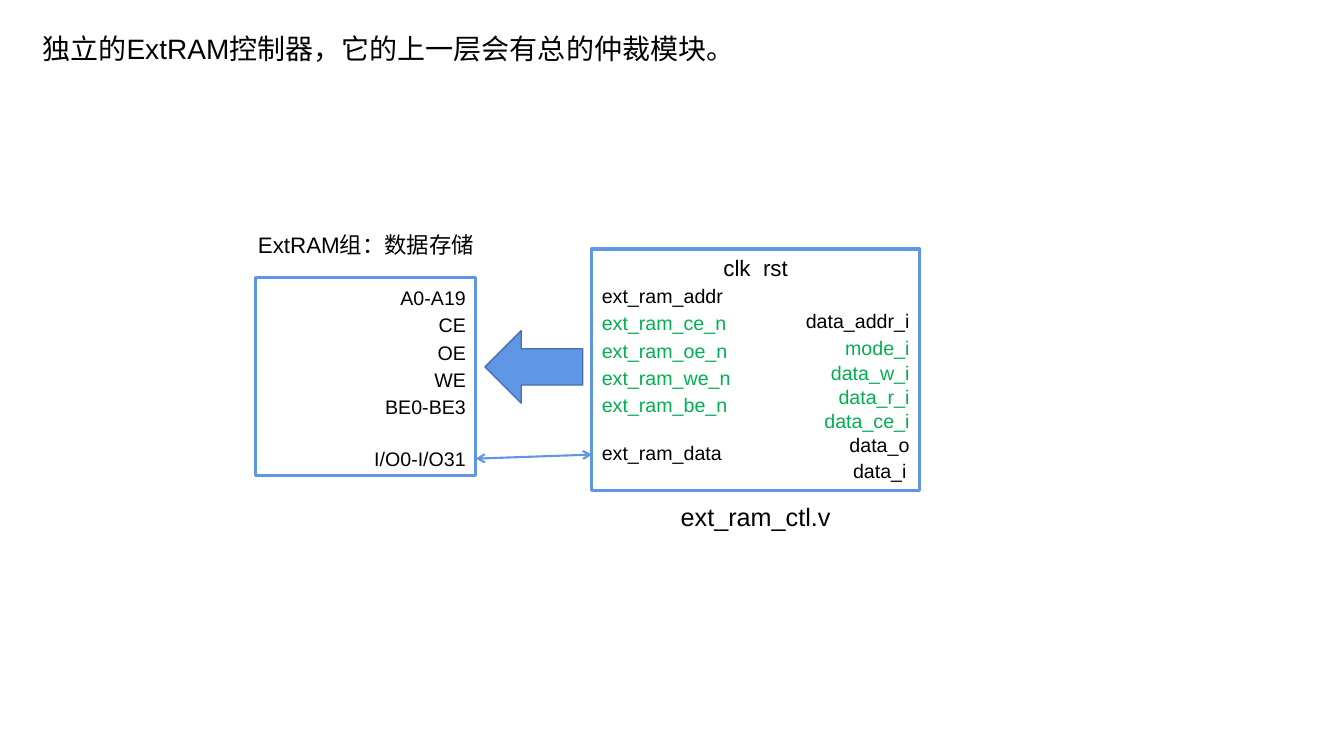
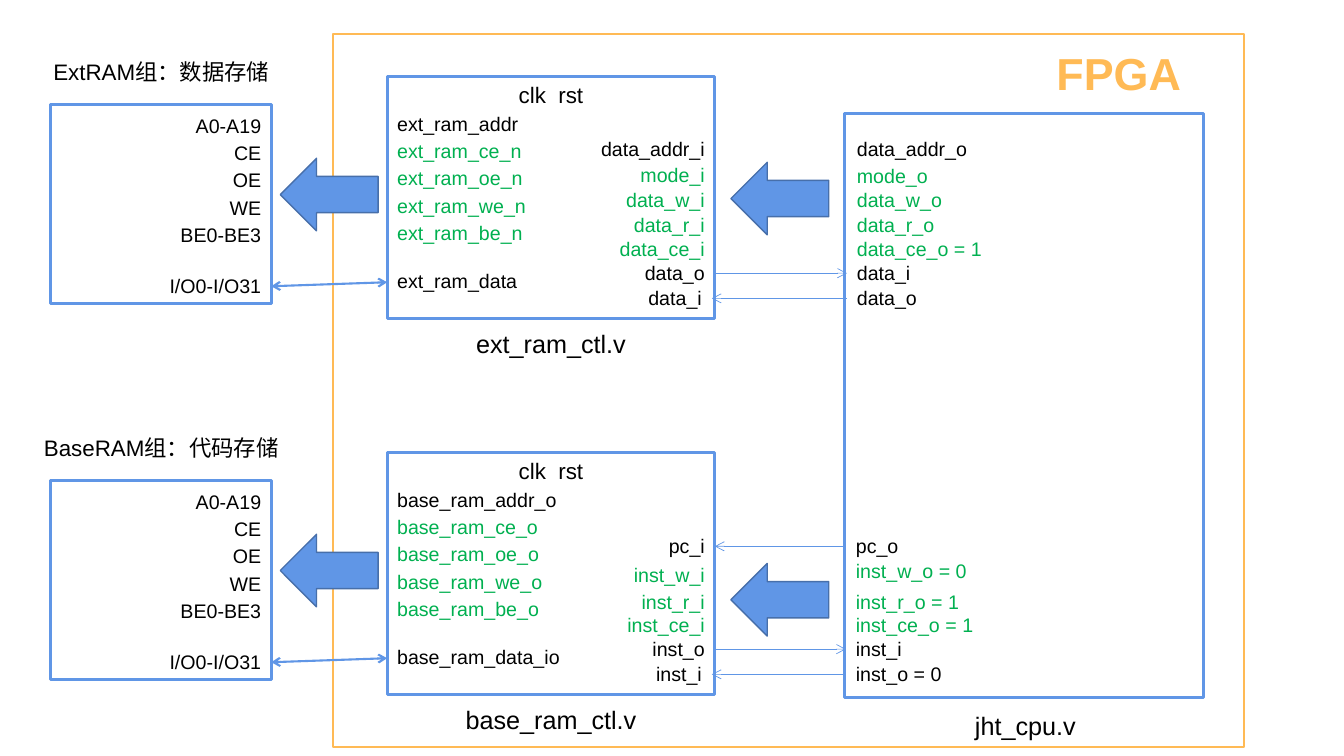
from pptx import Presentation
from pptx.dml.color import RGBColor
from pptx.enum.shapes import MSO_CONNECTOR, MSO_SHAPE
from pptx.enum.text import MSO_ANCHOR, MSO_AUTO_SIZE, PP_ALIGN
from pptx.oxml.ns import qn
from pptx.util import Inches, Pt
from lxml.etree import SubElement


def color(code):
    return RGBColor.from_string(code)


class Deck:
    font = "Arial"
    black = "000000"
    white = "FFFFFF"
    green = "00B050"
    blue = "6096E6"
    navy = "476FAA"
    gold = "FFBA55"

    def __init__(self):
        self.file = Presentation()
        self.file.slide_width = Inches(13.33)
        self.file.slide_height = Inches(7.5)
        self.slide = None

    def page(self, layout):
        self.slide = self.file.slides.add_slide(self.file.slide_layouts[layout])

    def style(self, shape, text, size, ink, align, bold=False):
        frame = shape.text_frame
        frame.word_wrap = True
        frame.auto_size = MSO_AUTO_SIZE.SHAPE_TO_FIT_TEXT
        frame.vertical_anchor = MSO_ANCHOR.TOP
        frame.text = text
        line = frame.paragraphs[0]
        line.alignment = align
        font = line.runs[0].font
        font.name = self.font
        font.size = Pt(size)
        font.bold = bold
        font.color.rgb = color(ink)

    def title(self, text, left, top, wide, high):
        shape = self.slide.shapes.title
        shape.left, shape.top = Inches(left), Inches(top)
        shape.width, shape.height = Inches(wide), Inches(high)
        self.style(shape, text, 20, self.black, PP_ALIGN.LEFT)

    def label(self, text, left, top, wide, high=0.34, size=14, ink=black,
              align=PP_ALIGN.CENTER, bold=False):
        shape = self.slide.shapes.add_textbox(
            Inches(left), Inches(top), Inches(wide), Inches(high))
        self.style(shape, text, size, ink, align, bold)

    def shape(self, kind, left, top, wide, high, fill, edge, weight):
        shape = self.slide.shapes.add_shape(
            kind, Inches(left), Inches(top), Inches(wide), Inches(high))
        shape.shadow.inherit = False
        shape.fill.solid()
        shape.fill.fore_color.rgb = color(fill)
        shape.line.color.rgb = color(edge)
        shape.line.width = Pt(weight)

    def box(self, left, top, wide, high, edge=blue, weight=2.25):
        self.shape(MSO_SHAPE.RECTANGLE, left, top, wide, high,
                   self.white, edge, weight)

    def arrow(self, left, top):
        self.shape(MSO_SHAPE.LEFT_ARROW, left, top, 0.97, 0.72,
                   self.blue, self.navy, 1)

    def wire(self, x1, y1, x2, y2, weight=0.5, ends=("tailEnd",)):
        wire = self.slide.shapes.add_connector(
            MSO_CONNECTOR.STRAIGHT,
            Inches(x1), Inches(y1), Inches(x2), Inches(y2))
        wire.line.color.rgb = color(self.blue)
        wire.line.width = Pt(weight)
        props = wire.element.spPr
        edge = props.find(qn("a:ln"))
        for end in ends:
            SubElement(edge, qn("a:" + end), type="arrow")
        SubElement(props, qn("a:effectLst"))

    def pins(self, names, drops, left, top, wide, greens, align):
        for spot, (name, drop) in enumerate(zip(names, drops)):
            ink = self.green if 1 <= spot <= greens else self.black
            self.label(name, left, top + drop, wide, ink=ink, align=align)

    def bank(self, left, top, bank):
        chip = left - 3.34
        self.label(bank["label"], chip - 0.23, top - 0.23, 2.66, 0.37, 16)
        self.box(left, top, 3.25, 2.4)
        self.box(chip, top + 0.28, 2.19, 1.97)
        self.pins(CHIP, [0.32 + 0.27 * n for n in range(5)] + [1.91],
                  chip + 0.85, top, 1.34, 0, PP_ALIGN.RIGHT)
        self.pins(bank["ram"], [0.3 + 0.27 * n for n in range(5)] + [1.86],
                  left, top, 2.12, 4, PP_ALIGN.LEFT)
        self.arrow(chip + 2.28, top + 0.81)
        self.wire(chip + 2.19, top + 2.08, left, top + 2.04, 1.5,
                  ("headEnd", "tailEnd"))
        *names, last = bank["bus"]
        self.pins(names, bank["drops"], left + 1.82, top, 1.43,
                  bank["greens"], PP_ALIGN.RIGHT)
        self.label(last, left + 1.79, top + 2.03, 1.43, align=PP_ALIGN.RIGHT)
        self.label("clk  rst", left + 0.99, top, 1.27, 0.37, 16)
        self.label(bank["file"], left + 0.64, top + 2.45, 1.97, 0.4, 18)

    def link(self, left, top, bank):
        self.pins(bank["cpu"], bank["ports"], left, top, 1.61,
                  bank["greens"], PP_ALIGN.LEFT)
        self.wire(7.09, top + 1.95, left, top + 1.95)
        self.wire(left, top + 2.2, 7.06, top + 2.2)
        self.arrow(7.25, top + bank["push"])


CHIP = ["A0-A19", "CE", "OE", "WE", "BE0-BE3", "I/O0-I/O31"]

EXT = {
    "label": "ExtRAM组：数据存储",
    "file": "ext_ram_ctl.v",
    "ram": ["ext_ram_addr", "ext_ram_ce_n", "ext_ram_oe_n",
            "ext_ram_we_n", "ext_ram_be_n", "ext_ram_data"],
    "bus": ["data_addr_i", "mode_i", "data_w_i", "data_r_i",
            "data_ce_i", "data_o", "data_i"],
    "drops": [0.55, 0.81, 1.06, 1.3, 1.54, 1.78],
    "cpu": ["data_addr_o", "mode_o", "data_w_o", "data_r_o",
            "data_ce_o = 1", "data_i", "data_o"],
    "ports": [0.55, 0.82, 1.06, 1.3, 1.54, 1.78, 2.03],
    "greens": 4,
    "push": 0.85,
}

BASE = {
    "label": "BaseRAM组：代码存储",
    "file": "base_ram_ctl.v",
    "ram": ["base_ram_addr_o", "base_ram_ce_o", "base_ram_oe_o",
            "base_ram_we_o", "base_ram_be_o", "base_ram_data_io"],
    "bus": ["pc_i", "inst_w_i", "inst_r_i", "inst_ce_i", "inst_o", "inst_i"],
    "drops": [0.76, 1.05, 1.31, 1.54, 1.78],
    "cpu": ["pc_o", "inst_w_o = 0", "inst_r_o = 1", "inst_ce_o = 1",
            "inst_i", "inst_o = 0"],
    "ports": [0.76, 1.01, 1.31, 1.54, 1.78, 2.03],
    "greens": 3,
    "push": 1.1,
}

deck = Deck()

deck.page(5)
deck.title("独立的ExtRAM控制器，它的上一层会有总的仲裁模块。",
           0.32, 0.26, 7.55, 0.44)
deck.bank(5.87, 2.47, EXT)

deck.page(6)
deck.box(3.3, 0.34, 9.04, 7.07, deck.gold, 1.5)
deck.bank(3.84, 0.76, EXT)
deck.bank(3.84, 4.49, BASE)
deck.box(8.38, 1.13, 3.56, 5.79)
deck.label("jht_cpu.v", 9.34, 7, 1.66, 0.4, 18)
deck.link(8.4, 0.76, EXT)
deck.link(8.39, 4.49, BASE)
deck.wire(8.39, 5.42, 7.09, 5.42)
deck.label("FPGA", 10.38, 0.4, 1.95, 0.64, 32, deck.gold, PP_ALIGN.LEFT, True)

deck.file.save("out.pptx")
